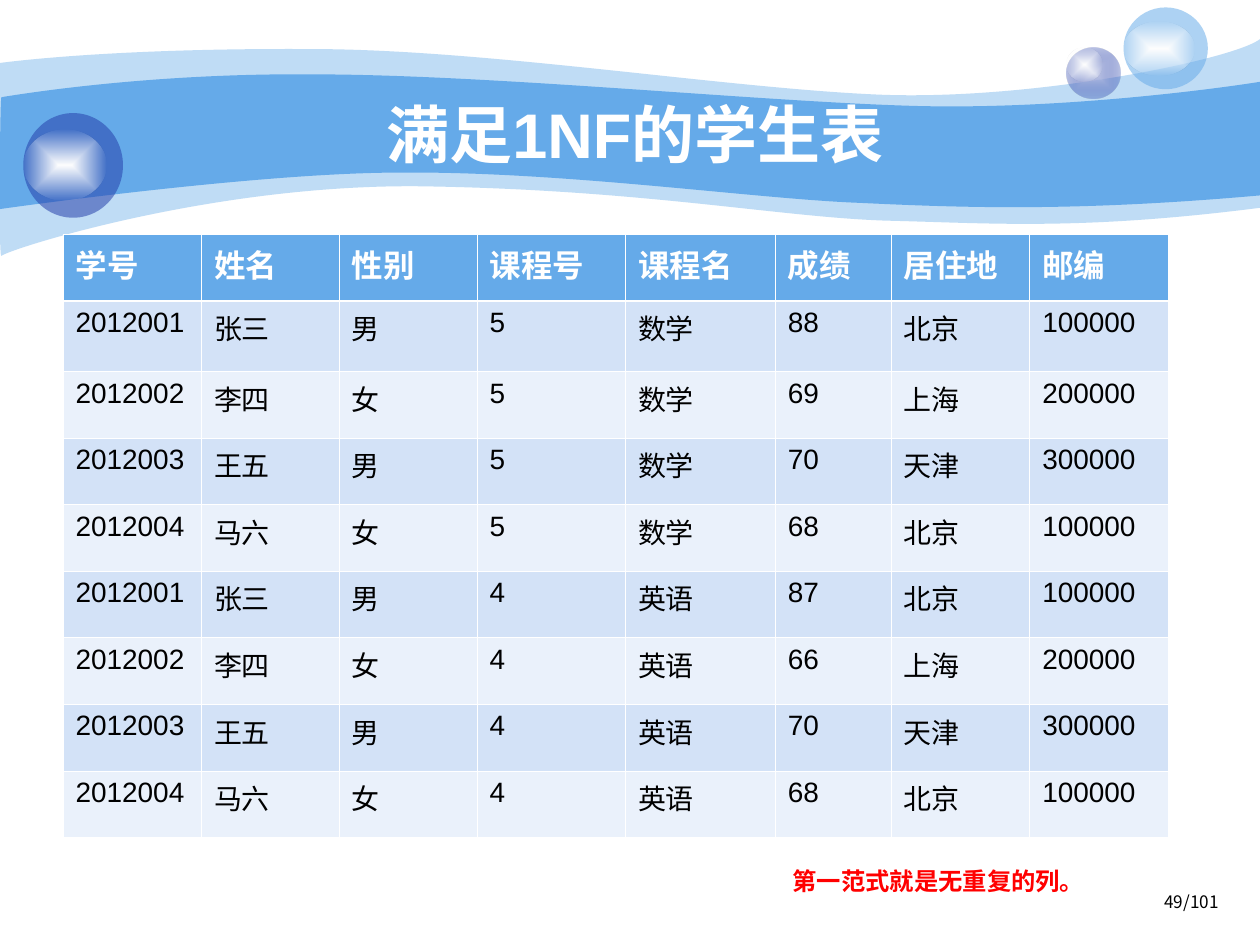
from lxml import etree
from pptx import Presentation
from pptx.dml.color import RGBColor
from pptx.enum.shapes import MSO_SHAPE
from pptx.enum.text import MSO_ANCHOR, PP_ALIGN
from pptx.oxml import parse_xml
from pptx.oxml.ns import nsdecls, qn
from pptx.util import Cm, Pt

OVAL = MSO_SHAPE.OVAL
MIDDLE, TOP = MSO_ANCHOR.MIDDLE, MSO_ANCHOR.TOP
LEFT, CENTER, RIGHT = PP_ALIGN.LEFT, PP_ALIGN.CENTER, PP_ALIGN.RIGHT

THEME = {
    "latin": "Arial", "asian": "Noto Sans CJK SC",
    "sky": "65AAE9", "navy": "233DA9", "mist": "C7CEE9",
    "bands": ("D3E2F7", "EAF1FB"),
    "white": "FFFFFF", "ink": "000000", "red": "FF0000",
    "title": 36, "head": 18, "body": 16, "note": 13.9, "page": 9.8,
    "thin": 0.45, "thick": 1.47,
}

TITLE = "满足1NF的学生表"
NOTE = "第一范式就是无重复的列。"
PAGE = "49/101"

HEAD = ("学号", "姓名", "性别", "课程号", "课程名", "成绩", "居住地", "邮编")
PEOPLE = (
    ("2012001", "张三", "男", "北京", "100000"),
    ("2012002", "李四", "女", "上海", "200000"),
    ("2012003", "王五", "男", "天津", "300000"),
    ("2012004", "马六", "女", "北京", "100000"),
)
COURSES = (
    ("5", "数学", ("88", "69", "70", "68")),
    ("4", "英语", ("87", "66", "70", "68")),
)
WIDTHS = (2.79, 2.78, 2.78, 2.99, 3.02, 2.34, 2.79, 2.79)
TALL = 12.16
FIRST = (1.34, 1.42)
HEIGHTS = FIRST + ((TALL - sum(FIRST)) / 7,) * 7

# Each wave: opacity, then points in cm; six numbers curve, two go straight.
WAVES = (
    (41, (
        (0, 1.27),
        (0.61, 1.19, 2.72, 0.97, 6.27, 0.99),
        (9.8, 0.99, 14.61, 1.78, 17.75, 1.91),
        (20.88, 2.03, 24.89, 1.19, 25.4, 0.79),
        (25.4, 4.19),
        (21.79, 4.65, 19.99, 4.5, 17.91, 4.45),
        (15.8, 4.39, 13.08, 3.84, 8.71, 3.76),
        (4.37, 3.66, 0.1, 5.05, 0.03, 5.16),
        (-0.03, 5.28, 0, 1.91, 0, 1.27),
    )),
    (100, (
        (0.03, 1.96),
        (0.05, 1.96, 2.79, 1.47, 6.3, 1.5),
        (9.8, 1.5, 15.11, 2.03, 18.24, 2.13),
        (21.36, 2.24, 24.79, 1.75, 25.4, 1.65),
        (25.4, 3.94),
        (21.67, 4.27, 19.43, 4.19, 17.32, 4.09),
        (15.21, 4.01, 11.35, 3.45, 8.05, 3.48),
        (5.16, 3.48, -0.05, 4.22, -0.03, 4.22),
        (0, 4.22, 0, 1.96, 0.03, 1.96),
    )),
)

# Each ball: its box, the box of its shine, and its colour stops with opacity.
BALLS = (
    ((21.51, 0.96, 1.07, 1.02), (21.51, 0.96, 0.71, 0.69),
     (("mist", 100), ("navy", 31))),
    ((22.65, 0.15, 1.7, 1.65), (22.65, 0.43, 1.42, 1.09), (("sky", 53),)),
    ((0.47, 2.28, 2.01, 2.11), (0.47, 2.62, 1.68, 1.42), (("navy", 53),)),
)
SHINE = (("white", 100), ("white", 0))


def color(name):
    return RGBColor.from_string(THEME.get(name, name))


def put(frame, text, size="body", ink="ink", bold=False, align=LEFT,
        anchor=TOP, latin="latin", lead=None):
    frame.word_wrap = True
    frame.vertical_anchor = anchor
    para = frame.paragraphs[0]
    para.alignment = align
    if lead:
        para.line_spacing = lead
    run = para.add_run()
    run.text = text
    font = run.font
    font.name, font.size, font.bold = THEME[latin], Pt(THEME[size]), bold
    font.color.rgb = color(ink)
    asian = etree.SubElement(font._element, qn("a:ea"))
    asian.set("typeface", THEME["asian"])


def label(slide, box, text, **style):
    put(slide.shapes.add_textbox(*map(Cm, box)).text_frame, text, **style)


def paint(shape, stops):
    """Fill with one colour, or with a gradient from the centre outwards."""
    shape.shadow.inherit = False
    shape.line.fill.background()
    tints = [f'<a:srgbClr val="{THEME[name]}"><a:alpha val="{part * 1000}"/>'
             '</a:srgbClr>' for name, part in stops]
    if len(tints) == 1:
        xml = f'<a:solidFill {nsdecls("a")}>{tints[0]}</a:solidFill>'
    else:
        marks = "".join(f'<a:gs pos="{i * 100000}">{tint}</a:gs>'
                        for i, tint in enumerate(tints))
        xml = (f'<a:gradFill {nsdecls("a")}><a:gsLst>{marks}</a:gsLst>'
               '<a:path path="rect"><a:fillToRect l="50000" t="50000" '
               'r="50000" b="50000"/></a:path></a:gradFill>')
    shape.line._get_or_add_ln().addprevious(parse_xml(xml))


def bend(shape, steps):
    """Join each three straight parts that stand for a curve into one curve."""
    parts = iter(list(shape._element.iter(qn("a:lnTo"))))
    for step in steps:
        first = next(parts)
        if len(step) == 6:
            first.addprevious(parse_xml(f'<a:cubicBezTo {nsdecls("a")}/>'))
            curve = first.getprevious()
            for part in (first, next(parts), next(parts)):
                curve.append(part[0])
                part.getparent().remove(part)


def wave(slide, part, steps):
    start, *rest = [(Cm(step[i]), Cm(step[i + 1]))
                    for step in steps for i in range(0, len(step), 2)]
    form = slide.shapes.build_freeform(*start)
    form.add_line_segments(rest, close=True)
    shape = form.convert_to_shape()
    bend(shape, steps[1:])
    paint(shape, (("sky", part),))


def ball(slide, body, shine, stops):
    group = slide.shapes.add_group_shape()
    for box, fill in ((body, stops), (shine, SHINE)):
        paint(group.shapes.add_shape(OVAL, *map(Cm, box)), fill)


def edge(cell, sides):
    for side, width in sides.items():
        cell._tc.get_or_add_tcPr().append(parse_xml(
            f'<a:ln{side} {nsdecls("a")} w="{Pt(width)}"><a:solidFill>'
            f'<a:srgbClr val="{THEME["white"]}"/></a:solidFill></a:ln{side}>'))


def grid(slide, left, top):
    rows = [HEAD] + [(code, name, sex, number, course, mark, town, post)
                     for number, course, marks in COURSES
                     for (code, name, sex, town, post), mark in zip(PEOPLE, marks)]
    table = slide.shapes.add_table(
        len(rows), len(HEAD), Cm(left), Cm(top), Cm(sum(WIDTHS)), Cm(TALL)).table
    table.horz_banding = False
    for column, width in zip(table.columns, WIDTHS):
        column.width = Cm(width)
    thin, thick = THEME["thin"], THEME["thick"]
    for r, (row, height) in enumerate(zip(rows, HEIGHTS)):
        table.rows[r].height = Cm(height)
        sides = {"L": thin, "R": thin, "T": thick if r == 1 else thin,
                 "B": thick if r == 0 else thin}
        style = {} if r else {"size": "head", "ink": "white", "bold": True}
        for c, text in enumerate(row):
            cell = table.cell(r, c)
            put(cell.text_frame, text, **style)
            edge(cell, sides)
            cell.fill.solid()
            cell.fill.fore_color.rgb = color(THEME["bands"][(r - 1) % 2] if r else "sky")


def main():
    deck = Presentation()
    deck.slide_width, deck.slide_height = Cm(25.4), Cm(19.05)
    slide = deck.slides.add_slide(deck.slide_layouts[6])
    for item in WAVES:
        wave(slide, *item)
    for item in BALLS:
        ball(slide, *item)
    label(slide, (2.54, 1.9, 20.52, 1.58), TITLE, size="title", ink="white",
          bold=True, align=CENTER, anchor=MIDDLE)
    label(slide, (18.9, 17.93, 5.92, 0.74), PAGE, size="page", align=RIGHT,
          latin="asian", lead=0.8)
    label(slide, (14.3, 17.33, 9.25, 0.86), NOTE, size="note", ink="red",
          bold=True, align=CENTER)
    grid(slide, 1.27, 4.73)
    deck.save("out.pptx")


if __name__ == "__main__":
    main()
